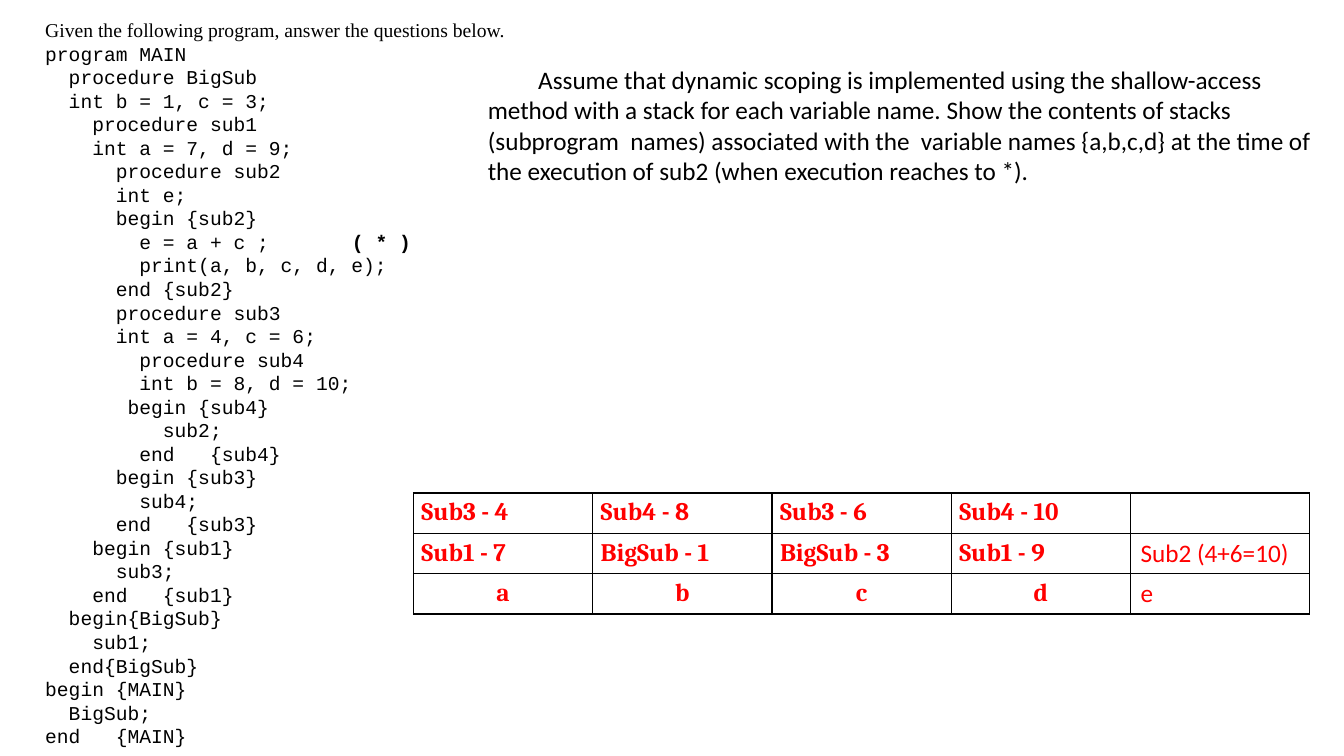
from dataclasses import dataclass

from lxml import etree
from pptx import Presentation, util as u
from pptx.dml.color import RGBColor
from pptx.enum import text
from pptx.oxml.ns import qn


@dataclass(frozen=True)
class Theme:
    ink: str = "000000"
    answer: str = "FF0000"
    paper: str = "FFFFFF"
    small: int = 14
    large: int = 18
    intro: str = "Times New Roman"
    code: str = "Courier New"
    body: str = "Calibri"
    stack: str = "Cambria"


INTRO = "Given the following program, answer the questions below."
MARK = "( * )"
PROGRAM = """\
program MAIN
  procedure BigSub
  int b = 1, c = 3;
    procedure sub1
    int a = 7, d = 9;
      procedure sub2
      int e;
      begin {sub2}
        e = a + c ;       ( * )
        print(a, b, c, d, e);
      end {sub2}
      procedure sub3
      int a = 4, c = 6;
        procedure sub4
        int b = 8, d = 10;
       begin {sub4}
          sub2;
        end   {sub4}
      begin {sub3}
        sub4;
      end   {sub3}
    begin {sub1}
      sub3;
    end   {sub1}
  begin{BigSub}
    sub1;
  end{BigSub}
begin {MAIN}
  BigSub;
end   {MAIN}"""
QUESTION = (
    "Assume that dynamic scoping is implemented using the shallow-access method "
    "with a stack for each variable name. Show the contents of stacks (subprogram  names) "
    "associated with the  variable names {a,b,c,d} at the time of the execution of sub2 "
    "(when execution reaches to *)."
)
STACKS = [
    ["Sub3 - 4", "Sub4 - 8", "Sub3 - 6", "Sub4 - 10", ""],
    ["Sub1 - 7", "BigSub - 1", "BigSub - 3", "Sub1 - 9", "Sub2 (4+6=10)"],
    ["a", "b", "c", "d", "e"],
]


def apply(target, values):
    for name, value in values.items():
        setattr(target, name, value)


class Page:
    def __init__(self, deck, theme):
        self.deck, self.theme = deck, theme
        self.slide = deck.slides.add_slide(deck.slide_layouts[6])

    def area(self, left, top, width, height):
        across, down = self.deck.slide_width / 100, self.deck.slide_height / 100
        return [int(v) for v in (left * across, top * down, width * across, height * down)]

    def words(self, paragraph, wording, color, **style):
        run = paragraph.add_run()
        run.text = wording
        apply(run.font, style)
        run.font.color.rgb = RGBColor.from_string(color)

    def frame(self, area, **settings):
        frame = self.slide.shapes.add_textbox(*self.area(*area)).text_frame
        apply(frame, {"word_wrap": True, **settings})
        return frame

    def listing(self, area, intro, program):
        t = self.theme
        frame = self.frame(area)
        self.words(frame.paragraphs[0], intro, t.ink, name=t.intro, size=u.Pt(t.small))
        for line in program.splitlines():
            paragraph = frame.add_paragraph()
            statement, mark, _ = line.partition(MARK)
            for wording, bold in ((statement, False), (mark, True)):
                if wording:
                    self.words(paragraph, wording, t.ink, name=t.code, size=u.Pt(t.small), bold=bold)

    def question(self, area, wording):
        t = self.theme
        paragraph = self.frame(area, margin_top=0, margin_bottom=0).paragraphs[0]
        paragraph._p.get_or_add_pPr().set("indent", str(u.Inches(0.5)))
        self.words(paragraph, wording, t.ink, name=t.body, size=u.Pt(t.large))

    def border(self, cell):
        properties = cell._tc.get_or_add_tcPr()
        for place, side in enumerate(("lnL", "lnR", "lnT", "lnB")):
            line = etree.Element(qn(f"a:{side}"), w=str(u.Pt(1)))
            fill = etree.SubElement(line, qn("a:solidFill"))
            etree.SubElement(fill, qn("a:srgbClr"), val=self.theme.ink)
            properties.insert(place, line)

    def stacks(self, area, rows):
        t = self.theme
        table = self.slide.shapes.add_table(len(rows), len(rows[0]), *self.area(*area)).table
        apply(table, {"first_row": False, "horz_banding": False})
        for r, row in enumerate(rows):
            for c, wording in enumerate(row):
                cell = table.cell(r, c)
                cell.fill.solid()
                cell.fill.fore_color.rgb = RGBColor.from_string(t.paper)
                self.border(cell)
                named = c < len(row) - 1
                side = u.Inches(0.08 if named else 0.1)
                apply(cell, {"margin_left": side, "margin_right": side})
                paragraph = cell.text_frame.paragraphs[0]
                if named and r == len(rows) - 1:
                    paragraph.alignment = text.PP_ALIGN.CENTER
                if wording:
                    self.words(paragraph, wording, t.answer, size=u.Pt(t.large),
                               name=t.stack if named else t.body, bold=named)


def main():
    deck = Presentation()
    apply(deck, {"slide_width": u.Inches(13.33), "slide_height": u.Inches(7.5)})
    page = Page(deck, Theme())
    page.listing((2.63, 1.73, 65.94, 98), INTRO, PROGRAM)
    page.question((35.56, 8.53, 63.54, 16), QUESTION)
    page.stacks((30.76, 65.2, 66.69, 16), STACKS)
    deck.save("out.pptx")


if __name__ == "__main__":
    main()
